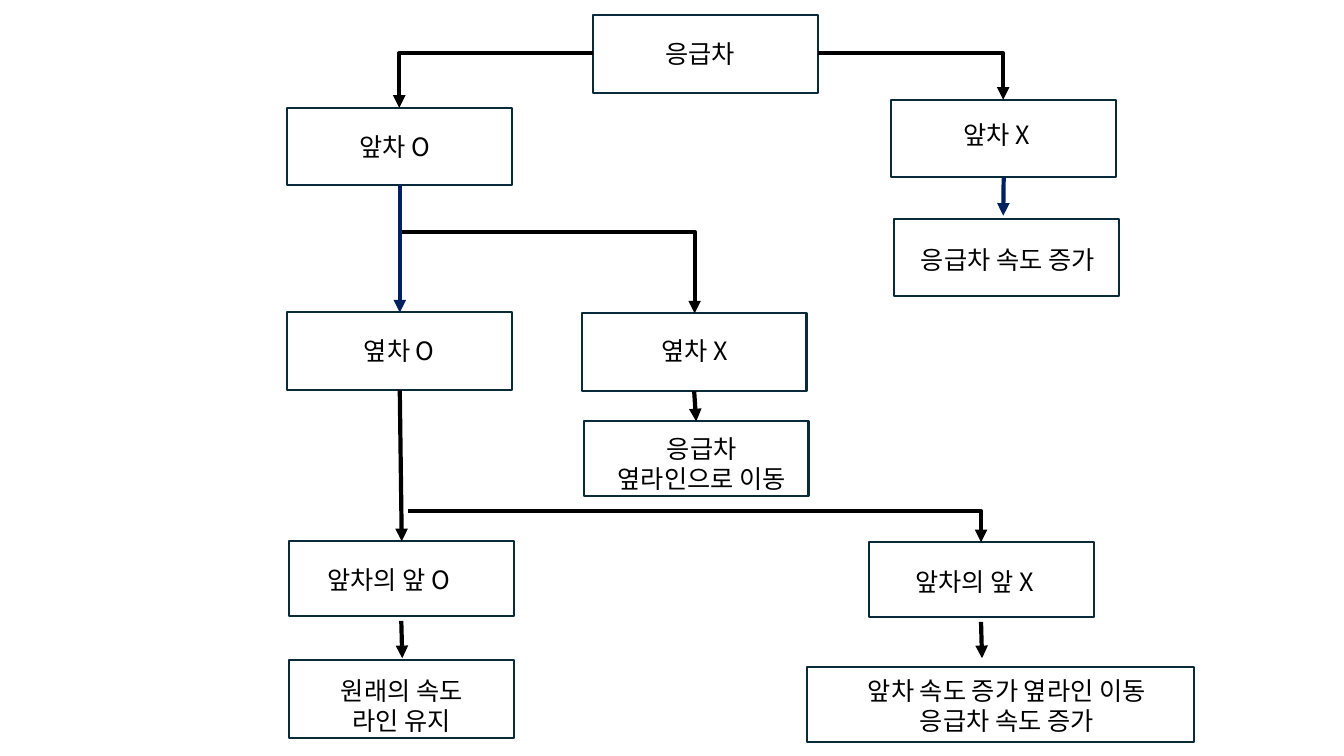
from pptx import Presentation
from pptx.dml.color import RGBColor
from pptx.enum.shapes import MSO_CONNECTOR, MSO_SHAPE
from pptx.enum.text import MSO_AUTO_SIZE, PP_ALIGN
from pptx.oxml.ns import qn
from pptx.util import Inches, Pt
from lxml.etree import SubElement

FONT = "Noto Sans CJK KR"
color = RGBColor.from_string

deck = Presentation()
deck.slide_width = Inches(13.33)
deck.slide_height = Inches(7.5)
slide = deck.slides.add_slide(deck.slide_layouts[6])


def write(text, at, size=18, ink="000000", align=PP_ALIGN.CENTER, wrap=True):
    frame = slide.shapes.add_textbox(*map(Inches, at)).text_frame
    frame.word_wrap = wrap
    frame.auto_size = MSO_AUTO_SIZE.SHAPE_TO_FIT_TEXT
    frame.text = text
    for para in frame.paragraphs:
        para.alignment = align
        for run in para.runs:
            run.font.size = Pt(size)
            run.font.name = FONT
            run.font.color.rgb = color(ink)
            SubElement(run.font._element, qn("a:ea"), typeface=FONT)


def link(kind, start, end, ink="000000"):
    line = slide.shapes.add_connector(kind, *map(Inches, start + end))
    line.line.color.rgb = color(ink)
    line.line.width = Pt(3)
    SubElement(line.line._get_or_add_ln(), qn("a:tailEnd"), type="triangle")
    props = line._element.spPr
    SubElement(props, qn("a:effectLst"))
    if kind == MSO_CONNECTOR.ELBOW:
        props.find(qn("a:prstGeom")).set("prst", "bentConnector2")
    return line


WIDE, TALL, LOW = 2.23, 0.77, 0.74
places = {
    "root": (5.88, 0.15, WIDE, TALL),
    "front O": (2.85, 1.07, WIDE, TALL),
    "front X": (8.84, 0.99, WIDE, TALL),
    "speed": (8.87, 2.17, WIDE, TALL),
    "side O": (2.85, 3.1, WIDE, TALL),
    "side X": (5.77, 3.11, WIDE, TALL),
    "move": (5.79, 4.18, WIDE, LOW),
    "ahead O": (2.87, 5.37, WIDE, LOW),
    "ahead X": (8.62, 5.38, WIDE, LOW),
    "keep": (2.87, 6.55, WIDE, TALL),
    "shift": (8, 6.62, 3.84, LOW),
}
boxes = {}
for name, at in places.items():
    box = slide.shapes.add_shape(MSO_SHAPE.RECTANGLE, *map(Inches, at))
    box.shadow.inherit = False
    box.fill.background()
    box.line.color.rgb = color("092A39")
    box.line.width = Pt(1.5)
    boxes[name] = box

for text, at in [
    ("응급차", (6.5, 0.33, 0.96, 0.4)),
    ("앞차 O", (3.47, 1.25, 0.99, 0.4)),
    ("앞차 X", (9.46, 1.13, 0.95, 0.4)),
    ("앞차의 앞 O", (3.15, 5.55, 1.67, 0.4)),
    ("앞차의 앞 X", (8.98, 5.57, 1.63, 0.4)),
]:
    write(text, at, align=PP_ALIGN.LEFT, wrap=False)

for text, at in [
    ("응급차 속도 증가", (8.91, 2.37, 2.17, 0.4)),
    ("옆차 O", (2.95, 3.28, 2.02, 0.4)),
    ("옆차 X", (5.88, 3.28, 2.02, 0.4)),
    ("원래의 속도 라인 유지", (3.06, 6.65, 1.85, 0.71)),
    ("앞차 속도 증가 옆라인 이동\n응급차 속도 증가", (8.23, 6.65, 3.51, 0.71)),
]:
    write(text, at)
write("응급차\n옆라인으로 이동", (5.93, 4.25, 2.06, 0.71), wrap=False)

for start, end in [
    ((5.88, 0.53), (3.96, 1.07)),
    ((8.11, 0.53), (9.95, 0.99)),
    ((3.96, 2.3), (6.89, 3.11)),
    ((4.05, 5.07), (9.73, 5.38)),
]:
    link(MSO_CONNECTOR.ELBOW, start, end)

for start, end, ink, head, foot in [
    ((3.96, 1.83), (3.96, 3.1), "002060", "front O", "side O"),
    ((9.94, 1.77), (9.95, 2.14), "002060", "front X", None),
    ((3.96, 3.86), (3.98, 5.37), "000000", "side O", "ahead O"),
    ((6.89, 3.88), (6.91, 4.18), "000000", "side X", "move"),
    ((3.98, 6.16), (3.99, 6.53), "000000", None, None),
    ((9.73, 6.17), (9.74, 6.53), "000000", None, None),
]:
    arrow = link(MSO_CONNECTOR.STRAIGHT, start, end, ink)
    if head:
        arrow.begin_connect(boxes[head], 2)
    if foot:
        arrow.end_connect(boxes[foot], 0)

deck.save("out.pptx")
